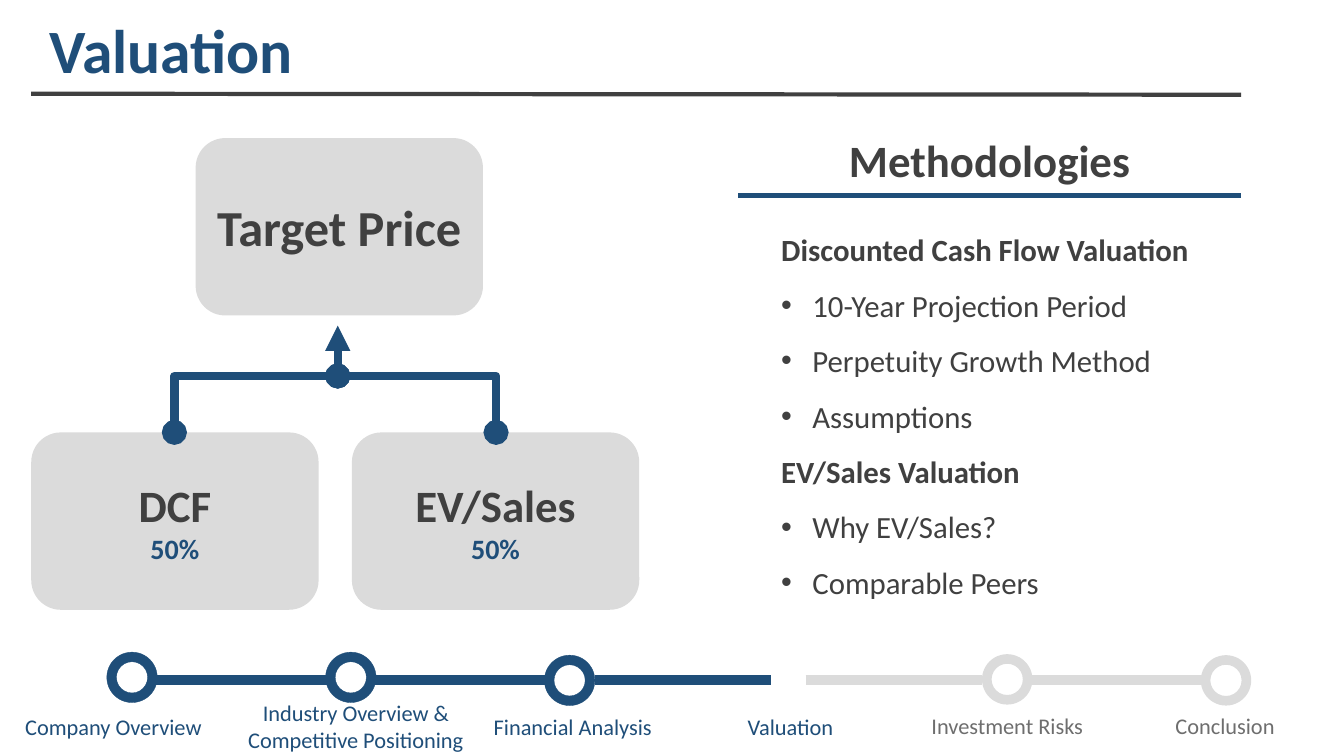
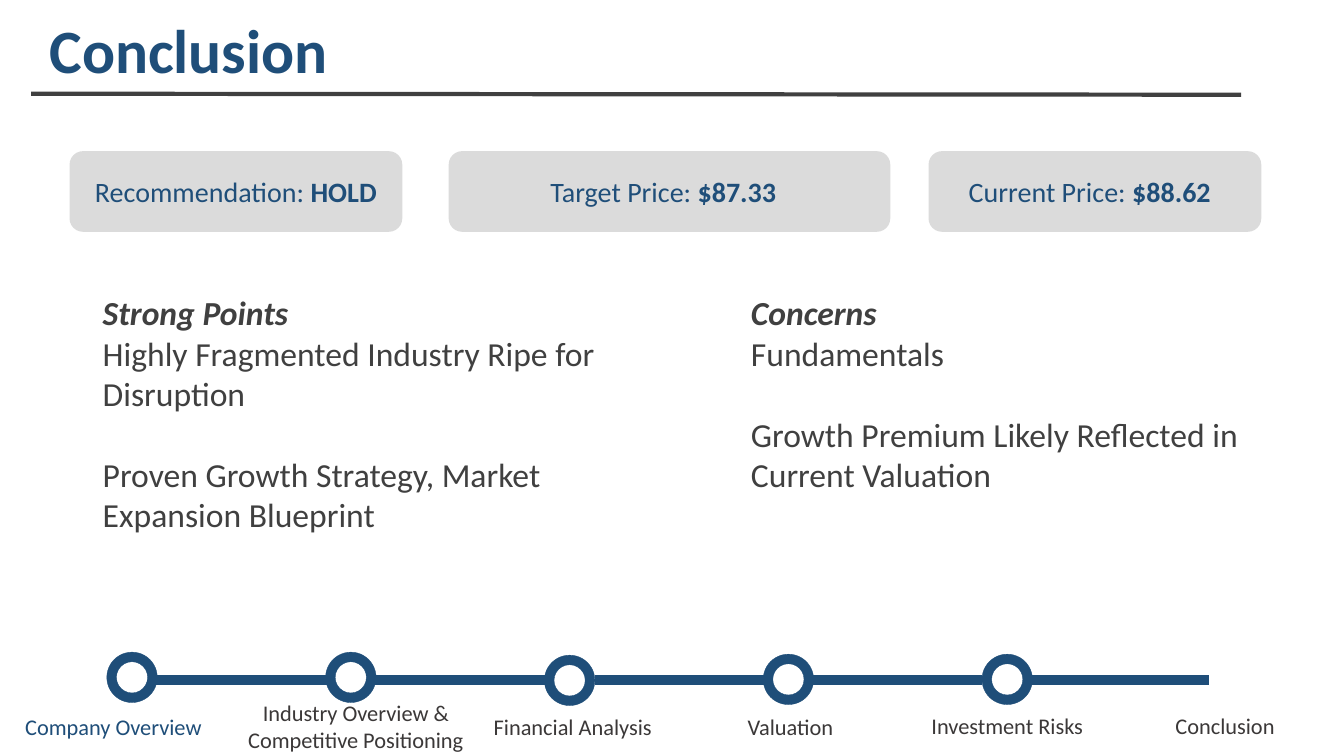
import dataclasses

import lxml.etree
import pptx
import pptx.dml.color
import pptx.enum.shapes
import pptx.enum.text
import pptx.oxml.ns
import pptx.util

Inches = pptx.util.Inches
Pt = pptx.util.Pt
Color = pptx.dml.color.RGBColor.from_string
Kind = pptx.enum.shapes.MSO_SHAPE
Link = pptx.enum.shapes.MSO_CONNECTOR
Align = pptx.enum.text.PP_ALIGN
Anchor = pptx.enum.text.MSO_ANCHOR
Fit = pptx.enum.text.MSO_AUTO_SIZE
qn = pptx.oxml.ns.qn


@dataclasses.dataclass(frozen=True)
class Theme:
    face: str = "Calibri"
    navy: str = "1F4E79"
    dark: str = "404040"
    pale: str = "DBDBDB"
    muted: str = "6E6E6E"
    ink: str = "3B3838"
    title: int = 44
    goal: int = 36
    head: int = 32
    body: int = 24
    list: int = 22
    note: int = 20
    step: int = 16


theme = Theme()

STEPS = [
    ("Company Overview", 0.07, 7.03, 2.11, 6.47),
    ("Industry Overview & Competitive Positioning", 2.35, 6.89, 2.36, 6.47),
    ("Financial Analysis", 4.79, 7.03, 1.78, 6.5),
    ("Valuation", 6.95, 7.03, 1.78, 6.49),
    ("Investment Risks", 9.1, 7.02, 1.78, 6.49),
    ("Conclusion", 11.26, 7.02, 1.78, 6.5),
]
RAILS = [1.53, 3.68, 5.9, 7.99, 10.24]
RING, GAP = 1.06, 2.17


def apply(item, values):
    for key, value in values.items():
        setattr(item, key, value)


def run(text, size, color, **values):
    return text, color, {"name": theme.face, "size": Pt(size), **values}


def para(*runs, bullet=False, **values):
    return runs, bullet, values


def dot(line):
    props = line._p.get_or_add_pPr()
    props.set("marL", str(Inches(0.31)))
    props.set("indent", str(-Inches(0.31)))
    lxml.etree.SubElement(props, qn("a:buFont")).set("typeface", "Arial")
    lxml.etree.SubElement(props, qn("a:buChar")).set("char", "•")


def write(frame, paras, **values):
    apply(frame, {"word_wrap": True, "auto_size": Fit.NONE, **values})
    for index, (runs, bullet, form) in enumerate(paras):
        line = frame.add_paragraph() if index else frame.paragraphs[0]
        if bullet:
            dot(line)
        apply(line, form)
        for text, color, font in runs:
            piece = line.add_run()
            piece.text = text
            apply(piece.font, font)
            piece.font.color.rgb = Color(color)


def label(slide, box, paras):
    shape = slide.shapes.add_textbox(*map(Inches, box))
    write(shape.text_frame, paras)


def block(slide, kind, box, color):
    shape = slide.shapes.add_shape(kind, *map(Inches, box))
    shape.shadow.inherit = False
    shape.fill.solid()
    shape.fill.fore_color.rgb = Color(color)
    shape.line.fill.background()
    return shape


def card(slide, box, paras, right=0.1):
    shape = block(slide, Kind.ROUNDED_RECTANGLE, box, theme.pale)
    write(shape.text_frame, paras, vertical_anchor=Anchor.MIDDLE,
          margin_right=Inches(right))


def rule(slide, start, end, color, width, ends=None, bent=False):
    kind = Link.ELBOW if bent else Link.STRAIGHT
    shape = slide.shapes.add_connector(kind, *map(Inches, start + end))
    shape.line.color.rgb = Color(color)
    shape.line.width = Pt(width)
    props = shape._element.spPr
    if bent:
        props.find(qn("a:prstGeom")).set("prst", "bentConnector2")
    if ends:
        line = props.find(qn("a:ln"))
        for tag, form in zip(("a:headEnd", "a:tailEnd"), ends):
            lxml.etree.SubElement(line, qn(tag)).set("type", form)
    lxml.etree.SubElement(props, qn("a:effectLst"))


def ring(slide, left, top, color):
    shape = block(slide, Kind.DONUT, (left, top, 0.5, 0.5), color)
    shape.adjustments[0] = 0.19
    if color == theme.navy:
        shape.line.color.rgb = Color(color)
        shape.line.width = Pt(0.25)


def track(slide, now, lead, rest):
    tones = [theme.navy if i < now else theme.pale for i in range(len(STEPS))]
    for left, tone in zip(RAILS, tones):
        rule(slide, (left, 6.75), (left + 1.75, 6.75), tone, 7)
    for index, (text, left, top, width, high) in enumerate(STEPS):
        if index != now:
            ring(slide, RING + GAP * index, high, tones[index])
        color = theme.navy if index < lead else rest
        label(slide, (left, top, width, 0.37),
              [para(run(text, theme.step, color), alignment=Align.CENTER)])


def start(deck, text):
    slide = deck.slides.add_slide(deck.slide_layouts[5])
    title = slide.shapes.title
    box = zip(("left", "top", "width", "height"), (0.39, 0.14, 11.5, 0.79))
    apply(title, {key: Inches(value) for key, value in box})
    write(title.text_frame,
          [para(run(text, theme.title, theme.navy, bold=True),
                alignment=Align.LEFT, line_spacing=0.9)],
          vertical_anchor=Anchor.MIDDLE)
    rule(slide, (0.31, 0.93), (12.31, 0.94), theme.dark, 3)
    return slide


def node(slide, left, top, text, size, share=None):
    paras = [para(run(text, size, theme.dark, bold=True),
                  alignment=Align.CENTER)]
    if share:
        paras.append(para(run(share, theme.note, theme.navy, bold=True),
                          alignment=Align.CENTER))
    card(slide, (left, top, 2.85, 1.76), paras)


def value(deck):
    slide = start(deck, "Valuation")
    track(slide, 3, 4, theme.muted)
    label(slide, (7.32, 1.27, 4.99, 0.64),
          [para(run("Methodologies", theme.head, theme.dark, bold=True),
                alignment=Align.CENTER)])
    rule(slide, (7.32, 1.94), (12.31, 1.94), theme.navy, 3)
    groups = {
        "Discounted Cash Flow Valuation": [
            "10-Year Projection Period", "Perpetuity Growth Method",
            "Assumptions"],
        "EV/Sales Valuation": ["Why EV/Sales?", "Comparable Peers"],
    }
    paras = []
    for head, points in groups.items():
        paras.append(para(run(head, theme.list, theme.dark, bold=True),
                          line_spacing=1.5))
        paras += [para(run(point, theme.list, theme.dark), bullet=True,
                       line_spacing=1.5) for point in points]
    label(slide, (7.65, 2.06, 4.66, 4.2), paras)
    node(slide, 1.94, 1.37, "Target Price", theme.goal)
    node(slide, 0.31, 4.29, "DCF", theme.head, "50%")
    node(slide, 3.49, 4.29, "EV/Sales", theme.head, "50%")
    hub = (3.35, 3.73)
    for left in (1.73, 4.92):
        rule(slide, hub, (left, 4.29), theme.navy, 6, ("oval", "oval"), True)
    rule(slide, hub, (3.35, 3.23), theme.navy, 6, ("oval", "triangle"))


def close(deck):
    slide = start(deck, "Conclusion")
    track(slide, 5, 1, theme.ink)
    facts = [
        ("Recommendation: ", "HOLD", 0.69, 3.3, 0.1),
        ("Target Price: ", "$87.33", 4.45, 4.38, 0.22),
        ("Current Price: ", "$88.62", 9.21, 3.3, 0.2),
    ]
    for name, mark, left, width, right in facts:
        card(slide, (left, 1.5, width, 0.8),
             [para(run(name, theme.note, theme.navy),
                   run(mark, theme.note, theme.navy, bold=True),
                   alignment=Align.CENTER)], right)
    sides = [
        (0.92, 5.52, "Strong Points",
         "Highly Fragmented Industry Ripe for Disruption",
         "Proven Growth Strategy, Market Expansion Blueprint"),
        (7.35, 5.17, "Concerns", "Fundamentals",
         "Growth Premium Likely Reflected in Current Valuation"),
    ]
    for left, width, head, first, last in sides:
        label(slide, (left, 2.85, width, 2.6), [
            para(run(head, theme.body, theme.dark, bold=True, italic=True)),
            para(run(first, theme.body, theme.dark)),
            para(run(last, theme.body, theme.dark), space_before=Pt(29)),
        ])


def main():
    deck = pptx.Presentation()
    apply(deck, {"slide_width": Inches(13.33), "slide_height": Inches(7.5)})
    value(deck)
    close(deck)
    deck.save("out.pptx")


if __name__ == "__main__":
    main()
